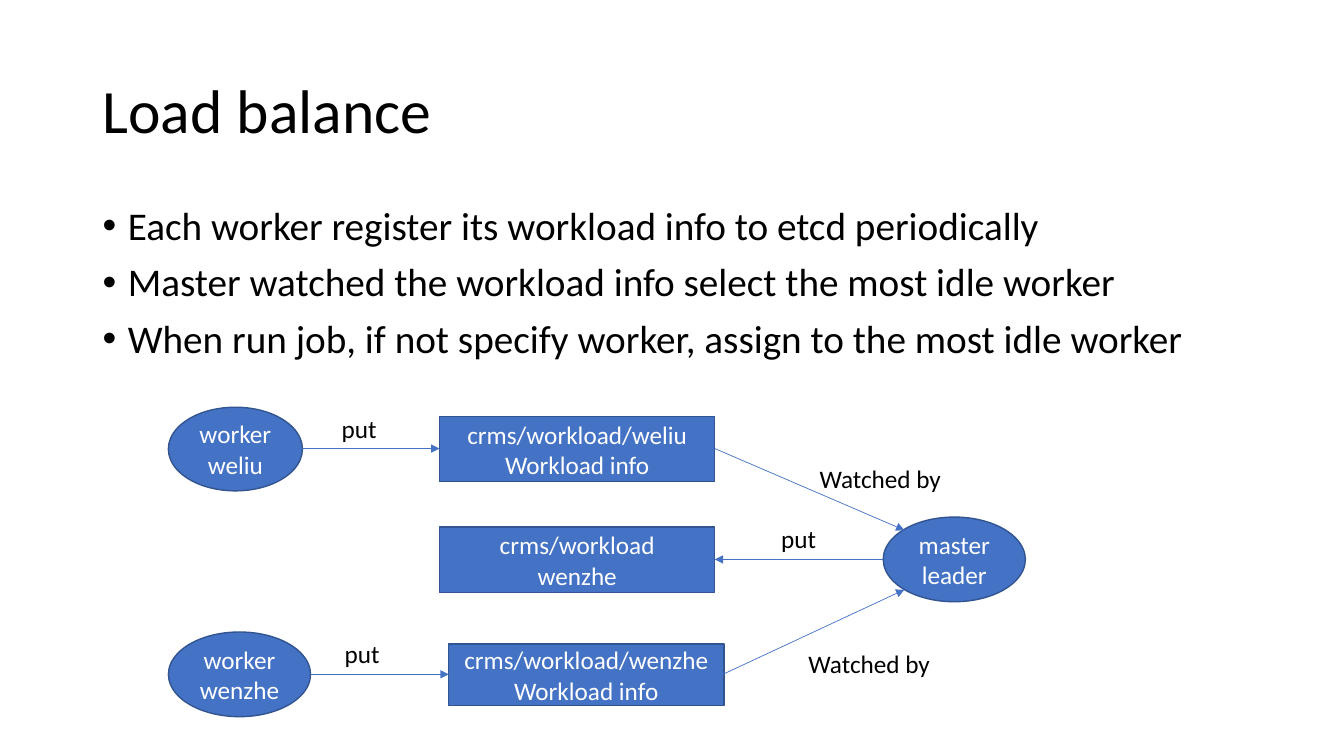
from pptx import Presentation
from pptx.dml.color import RGBColor
from pptx.enum.shapes import MSO_CONNECTOR, MSO_SHAPE
from pptx.enum.text import MSO_ANCHOR as Anchor, PP_ALIGN as Align
from pptx.oxml.ns import qn
from pptx.util import Inches, Pt
from lxml import etree

FONT = "Calibri"
BLACK, WHITE = "000000", "FFFFFF"
BLUE, DARK_BLUE = "4472C4", "325491"
OVAL, RECT = MSO_SHAPE.OVAL, MSO_SHAPE.RECTANGLE


def rgb(color):
    return RGBColor.from_string(color)


def add_bullet(p):
    pPr = p._p.get_or_add_pPr()
    pPr.set("marL", str(Inches(0.25)))
    pPr.set("indent", str(Inches(-0.25)))
    etree.SubElement(pPr, qn("a:buFont")).set("typeface", "Arial")
    etree.SubElement(pPr, qn("a:buChar")).set("char", "•")


def write(tf, text, size=18, color=BLACK, align=Align.LEFT, anchor=Anchor.TOP,
          wrap=True, line_spacing=None, before=None, bullet=False):
    """Fill a text frame, one paragraph for each line of text."""
    tf.word_wrap = wrap
    tf.vertical_anchor = anchor
    for i, line in enumerate(text.split("\n")):
        p = tf.paragraphs[0] if i == 0 else tf.add_paragraph()
        p.alignment = align
        p.line_spacing = line_spacing
        if before is not None:
            p.space_before = Pt(before)
        if bullet:
            add_bullet(p)
        r = p.add_run()
        r.text = line
        r.font.name = FONT
        r.font.size = Pt(size)
        r.font.color.rgb = rgb(color)


def add_text(s, text, x, y, w, h, **fmt):
    sp = s.shapes.add_textbox(Inches(x), Inches(y), Inches(w), Inches(h))
    write(sp.text_frame, text, **fmt)


def add_label(s, text, x, y, w):
    add_text(s, text, x, y, w, 0.4, wrap=False)


def add_node(s, kind, text, x, y, w, h):
    sp = s.shapes.add_shape(kind, Inches(x), Inches(y), Inches(w), Inches(h))
    sp.shadow.inherit = False
    sp.fill.solid()
    sp.fill.fore_color.rgb = rgb(BLUE)
    sp.line.color.rgb = rgb(DARK_BLUE)
    sp.line.width = Pt(1)
    write(sp.text_frame, text, color=WHITE, align=Align.CENTER, anchor=Anchor.MIDDLE)


def add_arrow(s, x1, y1, x2, y2):
    line = s.shapes.add_connector(MSO_CONNECTOR.STRAIGHT, Inches(x1), Inches(y1),
                                  Inches(x2), Inches(y2))
    line.line.color.rgb = rgb(BLUE)
    line.line.width = Pt(0.5)
    etree.SubElement(line.line._get_or_add_ln(), qn("a:tailEnd")).set("type", "triangle")
    etree.SubElement(line._element.spPr, qn("a:effectLst"))


def main():
    prs = Presentation()
    prs.slide_width, prs.slide_height = Inches(13.33), Inches(7.5)
    s = prs.slides.add_slide(prs.slide_layouts[6])
    s.background.fill.solid()
    s.background.fill.fore_color.rgb = rgb(WHITE)

    # Title and bullets
    add_text(s, "Load balance", 0.92, 0.4, 11.5, 1.45, size=44,
             anchor=Anchor.MIDDLE, line_spacing=0.9)
    add_text(s, "Each worker register its workload info to etcd periodically\n"
                "Master watched the workload info select the most idle worker\n"
                "When run job, if not specify worker, assign to the most idle worker",
             0.92, 2, 11.5, 4.76, size=28, line_spacing=0.9, before=10, bullet=True)

    # Workers, etcd keys and master
    for node in [
        (OVAL, "worker\nweliu", 1.67, 4.04, 1.33, 0.83),
        (OVAL, "worker wenzhe", 1.67, 6.27, 1.41, 0.84),
        (OVAL, "master leader", 8.76, 5.13, 1.41, 0.84),
        (RECT, "crms/workload/weliu\nWorkload info", 4.36, 4.13, 2.73, 0.65),
        (RECT, "crms/workload\nwenzhe", 4.36, 5.23, 2.73, 0.65),
        (RECT, "crms/workload/wenzhe\nWorkload info", 4.45, 6.39, 2.73, 0.61),
    ]:
        add_node(s, *node)

    # Arrows between them
    for ends in [
        (3, 4.45, 4.36, 4.45),
        (3.08, 6.69, 4.45, 6.69),
        (7.09, 4.45, 8.97, 5.26),
        (7.17, 6.69, 8.97, 5.85),
        (8.76, 5.55, 7.09, 5.55),
    ]:
        add_arrow(s, *ends)

    # Arrow labels
    for x, y in [(8.03, 4.55), (7.92, 6.38)]:
        add_label(s, "Watched by", x, y, 1.42)
    for x, y in [(3.29, 4.05), (3.32, 6.28), (7.65, 5.14)]:
        add_label(s, "put", x, y, 0.55)

    prs.save("out.pptx")


if __name__ == "__main__":
    main()
